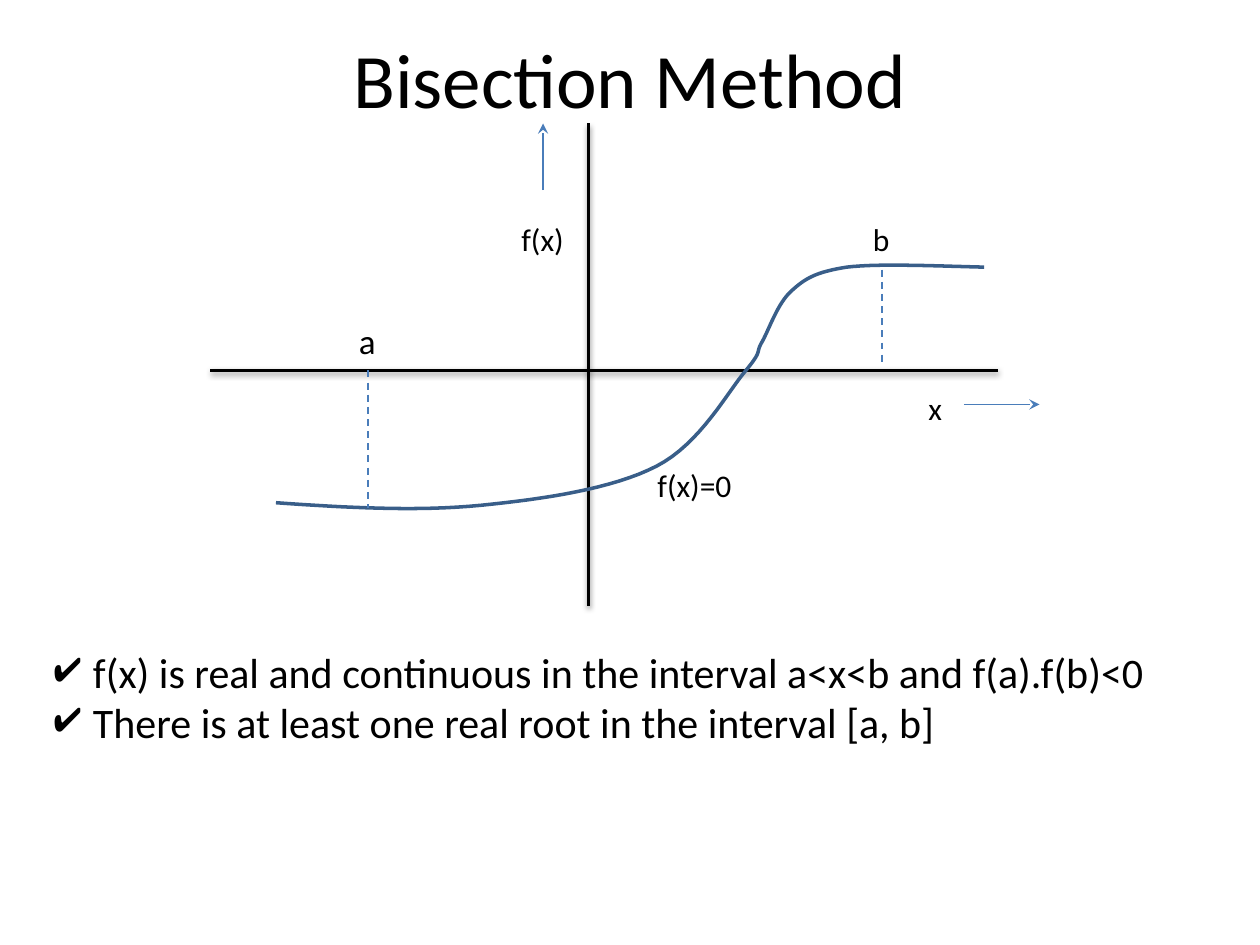
from lxml.etree import SubElement
from pptx import Presentation
from pptx.dml.color import RGBColor
from pptx.enum.dml import MSO_LINE
from pptx.enum.shapes import MSO_CONNECTOR
from pptx.enum.text import MSO_ANCHOR, PP_ALIGN
from pptx.oxml.ns import qn
from pptx.util import Inches, Pt

BLACK = RGBColor(0x00, 0x00, 0x00)
BLUE = RGBColor(0x4A, 0x7D, 0xBA)
CURVE_BLUE = RGBColor(0x39, 0x5E, 0x89)
FONT = "Calibri"

# Bézier control points in inches from the corner of the plot; each curve
# section starts at the end point of the one before it.
CURVE_POINTS = [
    (0.52, 3.01),
    (1.09, 3.05), (1.65, 3.08), (2.15, 3.03),
    (2.65, 2.98), (3.19, 2.90), (3.54, 2.72),
    (3.89, 2.54), (4.11, 2.12), (4.25, 1.96),
    (4.39, 1.79), (4.32, 1.83), (4.38, 1.73),
    (4.44, 1.62), (4.50, 1.43), (4.61, 1.33),
    (4.72, 1.23), (4.80, 1.18), (5.05, 1.14),
    (5.31, 1.11), (5.72, 1.13), (6.14, 1.14),
]
STEPS = 16


def add_text(slide, left, top, width, height, lines, size, wrap=True):
    box = slide.shapes.add_textbox(left, top, width, height)
    frame = box.text_frame
    frame.word_wrap = wrap
    for index, line in enumerate(lines):
        paragraph = frame.paragraphs[0] if index == 0 else frame.add_paragraph()
        run = paragraph.add_run()
        run.text = line
        run.font.name = FONT
        run.font.size = Pt(size)
        run.font.color.rgb = BLACK
    return frame


def add_line(slide, start, end, color, weight):
    line = slide.shapes.add_connector(MSO_CONNECTOR.STRAIGHT, *start, *end)
    line.line.color.rgb = color
    line.line.width = Pt(weight)
    effects = SubElement(line._element.spPr, qn("a:effectLst"))
    return line, effects


def add_axis(slide, start, end):
    _, effects = add_line(slide, start, end, BLACK, 2)
    shadow = SubElement(effects, qn("a:outerShdw"), blurRad=str(Pt(3.1)),
                        dist=str(Pt(1.6)), dir="5400000", rotWithShape="0")
    shade = SubElement(shadow, qn("a:srgbClr"), val=str(BLACK))
    SubElement(shade, qn("a:alpha"), val="37000")


def add_arrow(slide, start, end):
    arrow, _ = add_line(slide, start, end, BLUE, 0.75)
    SubElement(arrow.line._get_or_add_ln(), qn("a:tailEnd"), type="stealth")


def add_dashed(slide, start, end):
    marker, _ = add_line(slide, start, end, BLUE, 1)
    marker.line.dash_style = MSO_LINE.DASH


def bezier(controls, t):
    weights = ((1 - t) ** 3, 3 * t * (1 - t) ** 2, 3 * t ** 2 * (1 - t), t ** 3)
    return tuple(sum(w * p[axis] for w, p in zip(weights, controls))
                 for axis in (0, 1))


def add_curve(slide, at):
    """Draw the smooth function graph as a finely sampled outline."""
    points = [at(*bezier(CURVE_POINTS[first:first + 4], step / STEPS))
              for first in range(0, len(CURVE_POINTS) - 1, 3)
              for step in range(1, STEPS + 1)]
    builder = slide.shapes.build_freeform(*at(*CURVE_POINTS[0]))
    builder.add_line_segments(points, close=False)
    curve = builder.convert_to_shape()
    curve.shadow.inherit = False
    curve.fill.background()
    curve.line.color.rgb = CURVE_BLUE
    curve.line.width = Pt(2)


def add_title(slide, left, top, width, height):
    frame = add_text(slide, left, top, width, height, ["Bisection Method"], 44)
    frame.vertical_anchor = MSO_ANCHOR.MIDDLE
    frame.paragraphs[0].alignment = PP_ALIGN.CENTER


def add_plot(slide, left, top, height):
    def at(x, y):
        return left + Inches(x), top + Inches(y)

    axis_x, axis_y = 3.0, 1.96
    add_axis(slide, at(0, axis_y), at(6.25, axis_y))
    add_axis(slide, at(axis_x, 0), (left + Inches(axis_x), top + height))
    add_curve(slide, at)
    add_arrow(slide, at(5.98, 2.23), at(6.58, 2.23))
    add_arrow(slide, at(2.64, 0.53), at(2.64, 0))
    add_dashed(slide, at(1.25, axis_y), at(1.25, 3.05))
    add_dashed(slide, at(5.33, 1.16), at(5.33, 1.91))
    for label, x, y, width, size in [
        ("f(x)", 2.37, 0.72, 0.54, 18),
        ("x", 5.60, 2.06, 0.31, 18),
        ("f(x)=0", 3.45, 2.67, 0.80, 18),
        ("a", 1.08, 1.51, 0.34, 20),
        ("b", 5.16, 0.72, 0.34, 18),
    ]:
        add_text(slide, *at(x, y), Inches(width), Inches(size / 45),
                 [label], size, wrap=False)


def add_conditions(slide, left, top, width, height):
    frame = add_text(slide, left, top, width, height, [
        "f(x) is real and continuous in the interval a<x<b and f(a).f(b)<0",
        "There is at least one real root in the interval [a, b]",
    ], 24)
    indent = Inches(0.31)
    for paragraph in frame.paragraphs:
        properties = paragraph._p.get_or_add_pPr()
        properties.set("marL", str(indent))
        properties.set("indent", str(-indent))
        SubElement(properties, qn("a:buChar"), char="✔")


def main():
    presentation = Presentation()
    presentation.slide_width = Inches(10)
    presentation.slide_height = Inches(7.5)
    slide = presentation.slides.add_slide(presentation.slide_layouts[6])
    add_title(slide, Inches(0.5), Inches(0.08), Inches(9), Inches(1.07))
    add_plot(slide, Inches(1.67), Inches(0.98), Inches(3.83))
    add_conditions(slide, Inches(0.33), Inches(5.08), Inches(9.17), Inches(0.91))
    presentation.save("out.pptx")


if __name__ == "__main__":
    main()
